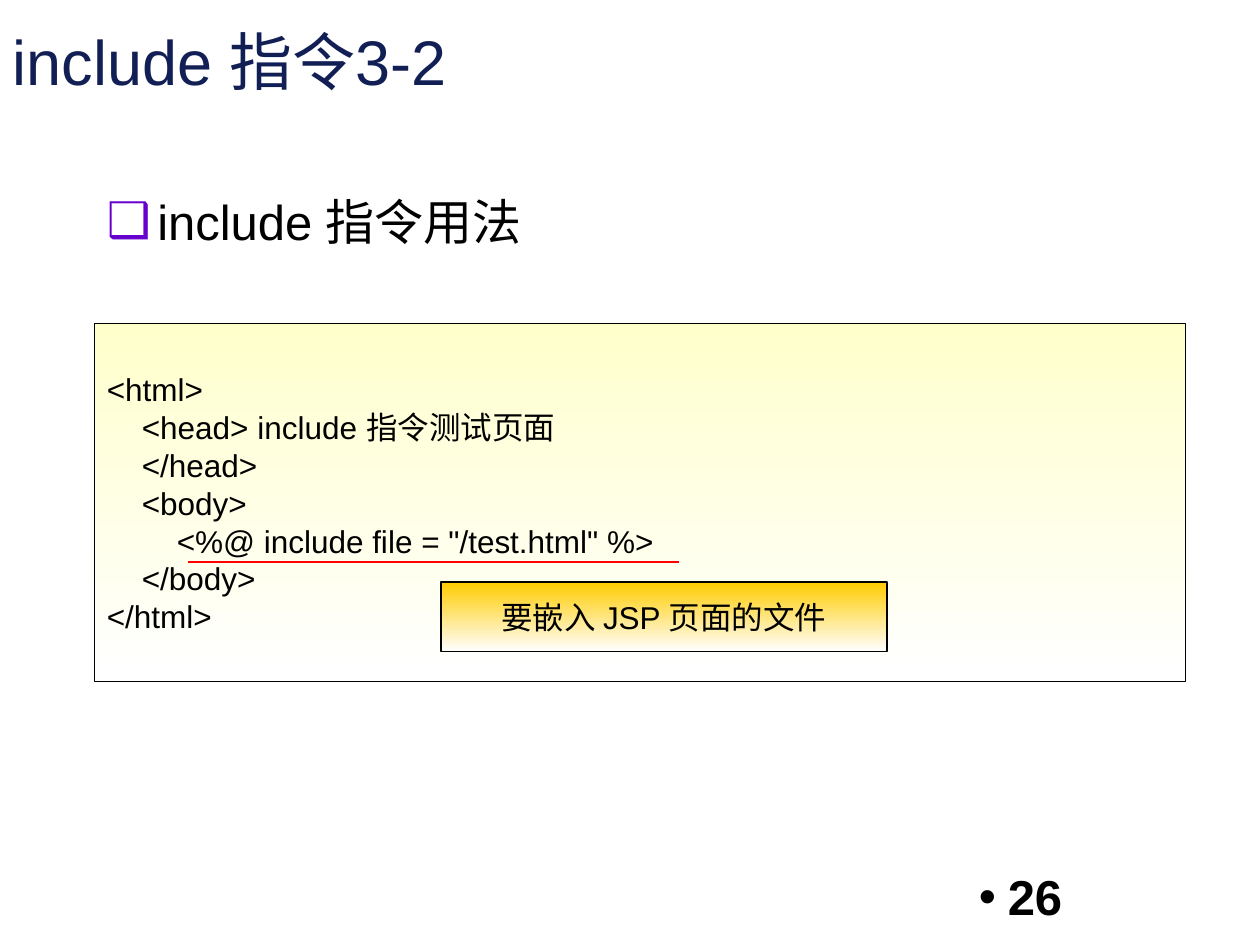
import pptx
import pptx.dml.color
import pptx.enum.shapes
import pptx.enum.text
import pptx.oxml
import pptx.oxml.ns
import pptx.util

Inches, Pt = pptx.util.Inches, pptx.util.Pt
ALIGN = pptx.enum.text.PP_ALIGN
ANCHOR = pptx.enum.text.MSO_ANCHOR
FONT = "Arial"
COLORS = {
    "navy": "121F55", "black": "000000", "white": "FFFFFF", "cream": "FFFFCC",
    "gold": "FFCC00", "purple": "6600CC", "red": "FF0000",
}

TITLE = "include 指令3-2"
TOPIC = "include 指令用法"
CODE = [
    "<html>",
    "    <head> include 指令测试页面",
    "    </head>",
    "    <body>",
    '        <%@ include file = "/test.html" %>',
    "    </body>",
    "</html>",
]
NOTE = "要嵌入 JSP 页面的文件"
PAGE = "26"

WIDE, HIGH = 10, 7.5
EDGE = 0.75
AREAS = {
    "title": (0, 0.13, WIDE, 0.79),
    "page": (7.67, 6.83, WIDE - 7.67, 0.5),
    "code": (EDGE, 2.57, 8.66, 2.84),
    "topic": (EDGE, 1.47, 8.27, 1.65),
    "note": (3.5, 4.62, 3.54, 0.55),
}
RULE = (1.49, 5.39, 4.46)  # left, right, height of the red underline


def rgb(name):
    return pptx.dml.color.RGBColor.from_string(COLORS[name])


def area(name):
    return [Inches(v) for v in AREAS[name]]


def write(frame, lines, size, color="black", align=ALIGN.LEFT, bold=False):
    frame.text = "\n".join(lines)
    for para in frame.paragraphs:
        para.alignment = align
        for run in para.runs:
            font = run.font
            font.name, font.size, font.bold = FONT, Pt(size), bold
            font.color.rgb = rgb(color)


def bullet(para, mark, color, indent):
    """Give the paragraph a coloured bullet with a hanging indent."""
    props = para._p.get_or_add_pPr()
    props.set("marL", str(Inches(indent)))
    props.set("indent", str(-Inches(indent)))
    space = pptx.oxml.ns.nsdecls("a")
    for xml in (
        f'<a:buClr {space}><a:srgbClr val="{COLORS[color]}"/></a:buClr>',
        f'<a:buFont {space} typeface="{FONT}"/>',
        f'<a:buChar {space} char="{mark}"/>',
    ):
        props.append(pptx.oxml.parse_xml(xml))


def item(slide, name, text, mark, color, indent, bold=False):
    frame = slide.shapes.add_textbox(*area(name)).text_frame
    frame.word_wrap = True
    write(frame, [text], 28, bold=bold)
    bullet(frame.paragraphs[0], mark, color, indent)


def panel(slide, name, lines, color, align):
    """Add a box that fades from a colour down to white."""
    box = slide.shapes.add_shape(
        pptx.enum.shapes.MSO_SHAPE.RECTANGLE, *area(name))
    box.shadow.inherit = False
    box.fill.gradient()
    box.fill.gradient_angle = 270
    for stop, tone in zip(box.fill.gradient_stops, (color, "white")):
        stop.color.rgb = rgb(tone)
    box.line.color.rgb = rgb("black")
    box.line.width = Pt(0.75)
    frame = box.text_frame
    frame.word_wrap = False
    frame.vertical_anchor = ANCHOR.MIDDLE
    write(frame, lines, 18, align=align)


def underline(slide):
    left, right, top = (Inches(v) for v in RULE)
    line = slide.shapes.add_connector(
        pptx.enum.shapes.MSO_CONNECTOR.STRAIGHT, left, top, right, top)
    line.line.color.rgb = rgb("red")
    line.line.width = Pt(1.5)
    line._element.spPr.append(pptx.oxml.parse_xml(
        f'<a:effectLst {pptx.oxml.ns.nsdecls("a")}/>'))


def main():
    deck = pptx.Presentation()
    deck.slide_width, deck.slide_height = Inches(WIDE), Inches(HIGH)
    slide = deck.slides.add_slide(deck.slide_layouts[5])

    title = slide.shapes.title
    title.left, title.top, title.width, title.height = area("title")
    title.text_frame.vertical_anchor = ANCHOR.TOP
    write(title.text_frame, [TITLE], 36, "navy")

    item(slide, "page", PAGE, "•", "black", 0.23, bold=True)
    panel(slide, "code", CODE, "cream", ALIGN.LEFT)
    item(slide, "topic", TOPIC, "❑", "purple", 0.4)
    panel(slide, "note", [NOTE], "gold", ALIGN.CENTER)
    underline(slide)
    deck.save("out.pptx")


if __name__ == "__main__":
    main()
